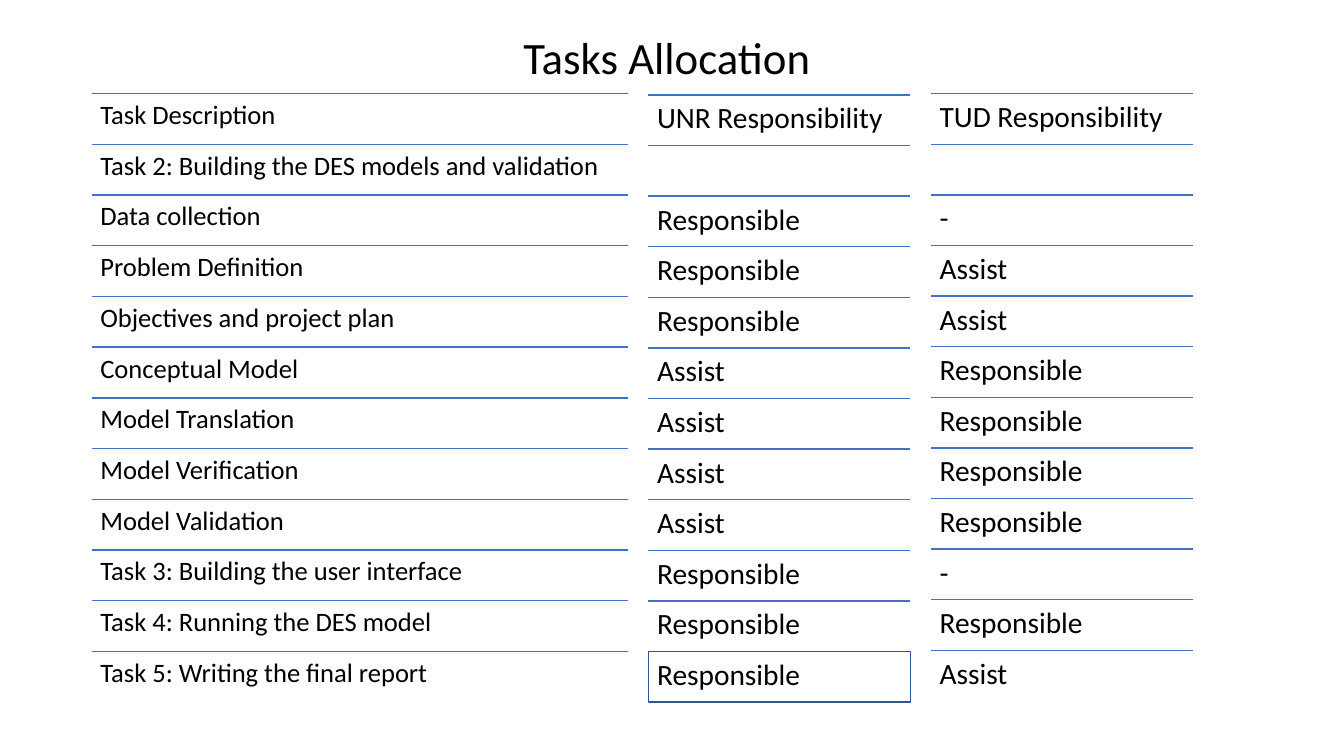
from lxml.etree import SubElement
from pptx import Presentation
from pptx.dml.color import RGBColor
from pptx.enum.shapes import MSO_CONNECTOR, MSO_SHAPE
from pptx.enum.text import MSO_ANCHOR, PP_ALIGN
from pptx.oxml.ns import qn
from pptx.util import Cm, Pt

TASKS = [
    "Task Description",
    "Task 2: Building the DES models and validation",
    "Data collection",
    "Problem Definition",
    "Objectives and project plan",
    "Conceptual Model",
    "Model Translation",
    "Model Verification",
    "Model Validation",
    "Task 3: Building the user interface",
    "Task 4: Running the DES model",
    "Task 5: Writing the final report",
]
UNR_ROLES = (["UNR Responsibility", ""] + ["Responsible"] * 3
             + ["Assist"] * 4 + ["Responsible"] * 3)
TUD_ROLES = (["TUD Responsibility", "", "-"] + ["Assist"] * 2
             + ["Responsible"] * 4 + ["-", "Responsible", "Assist"])


def color(value):
    return RGBColor.from_string(value)


def write(box, text, size, inset, align=PP_ALIGN.LEFT, anchor=MSO_ANCHOR.TOP):
    frame = box.text_frame
    frame.word_wrap = True
    frame.vertical_anchor = anchor
    frame.margin_left = frame.margin_right = Cm(inset)
    frame.margin_top = frame.margin_bottom = Cm(inset)
    para = frame.paragraphs[0]
    para.alignment = align
    para.line_spacing = 0.9
    span = para.add_run()
    span.text = text
    span.font.name = "Calibri"
    span.font.size = Pt(size)
    span.font.color.rgb = color("000000")


def add_rule(page, left, top, width):
    rule = page.shapes.add_connector(
        MSO_CONNECTOR.STRAIGHT, Cm(left), Cm(top), Cm(left + width), Cm(top))
    rule.line.color.rgb = color("4472C4")
    rule.line.width = Pt(1)
    SubElement(rule._element.spPr, qn("a:effectLst"))


def add_outlined_box(page, area):
    box = page.shapes.add_shape(MSO_SHAPE.RECTANGLE, *area)
    box.shadow.inherit = False
    box.fill.background()
    box.line.color.rgb = color("2F5597")
    box.line.width = Pt(0.75)
    return box


def add_title(page, left, top, width, height):
    box = page.shapes.add_textbox(Cm(left), Cm(top), Cm(width), Cm(height))
    write(box, "Tasks Allocation ", 32, 0.13, PP_ALIGN.CENTER, MSO_ANCHOR.BOTTOM)


def add_column(page, left, top, width, height, entries, size, inset, outlined=None):
    row_height = height / len(entries)
    for row, entry in enumerate(entries):
        row_top = top + row * row_height
        add_rule(page, left, row_top, width)
        if not entry:
            continue
        area = Cm(left), Cm(row_top), Cm(width), Cm(row_height)
        if row == outlined:
            box = add_outlined_box(page, area)
        else:
            box = page.shapes.add_textbox(*area)
        write(box, entry, size, inset)


def main():
    deck = Presentation()
    deck.slide_width, deck.slide_height = Cm(33.87), Cm(19.05)
    page = deck.slides.add_slide(deck.slide_layouts[6])
    add_title(page, 2.33, 0.64, 29.21, 1.6)
    add_column(page, 2.33, 2.36, 13.5, 15.33, TASKS, 19, 0.2)
    add_column(page, 16.34, 2.39, 6.6, 15.3, UNR_ROLES, 21, 0.22,
               outlined=len(UNR_ROLES) - 1)
    add_column(page, 23.46, 2.36, 6.6, 15.3, TUD_ROLES, 21, 0.22)
    deck.save("out.pptx")


if __name__ == "__main__":
    main()
